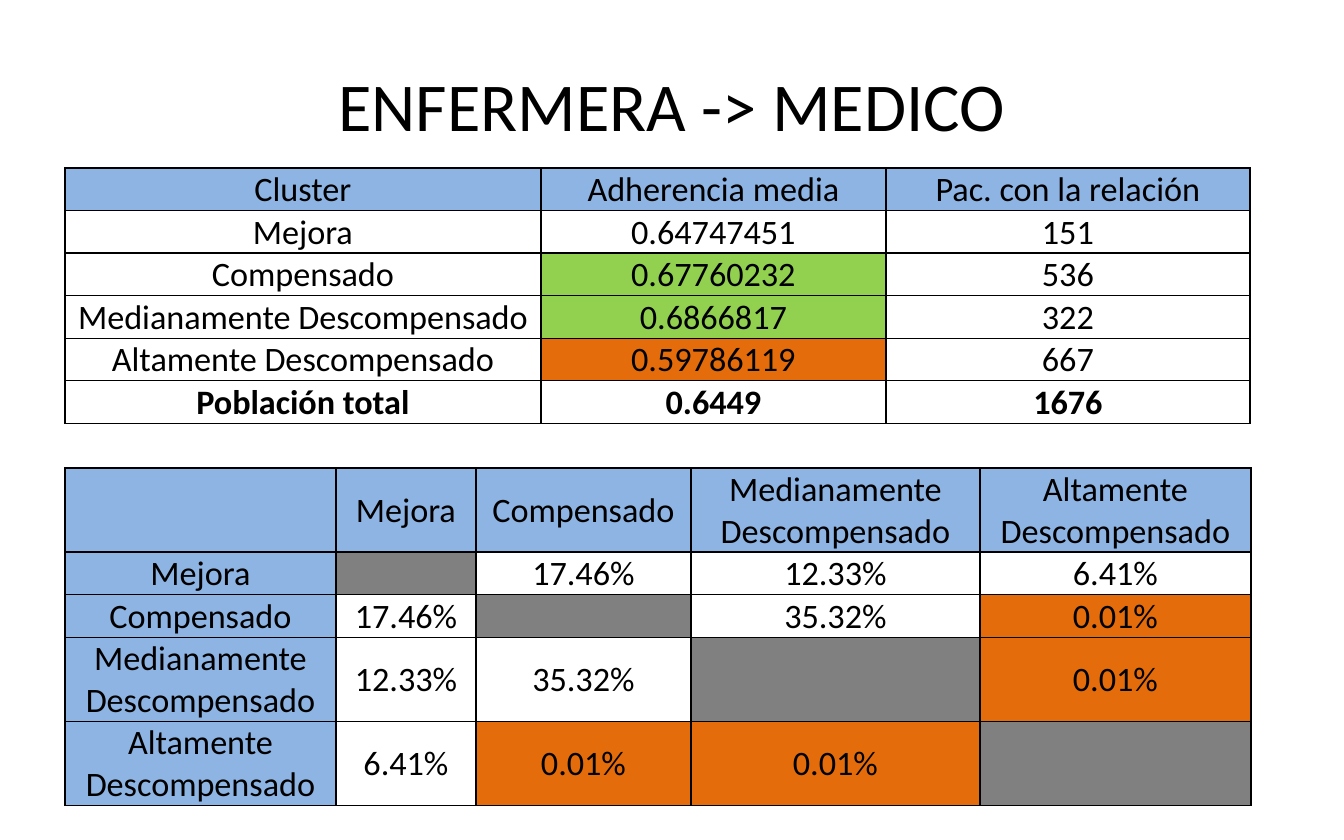
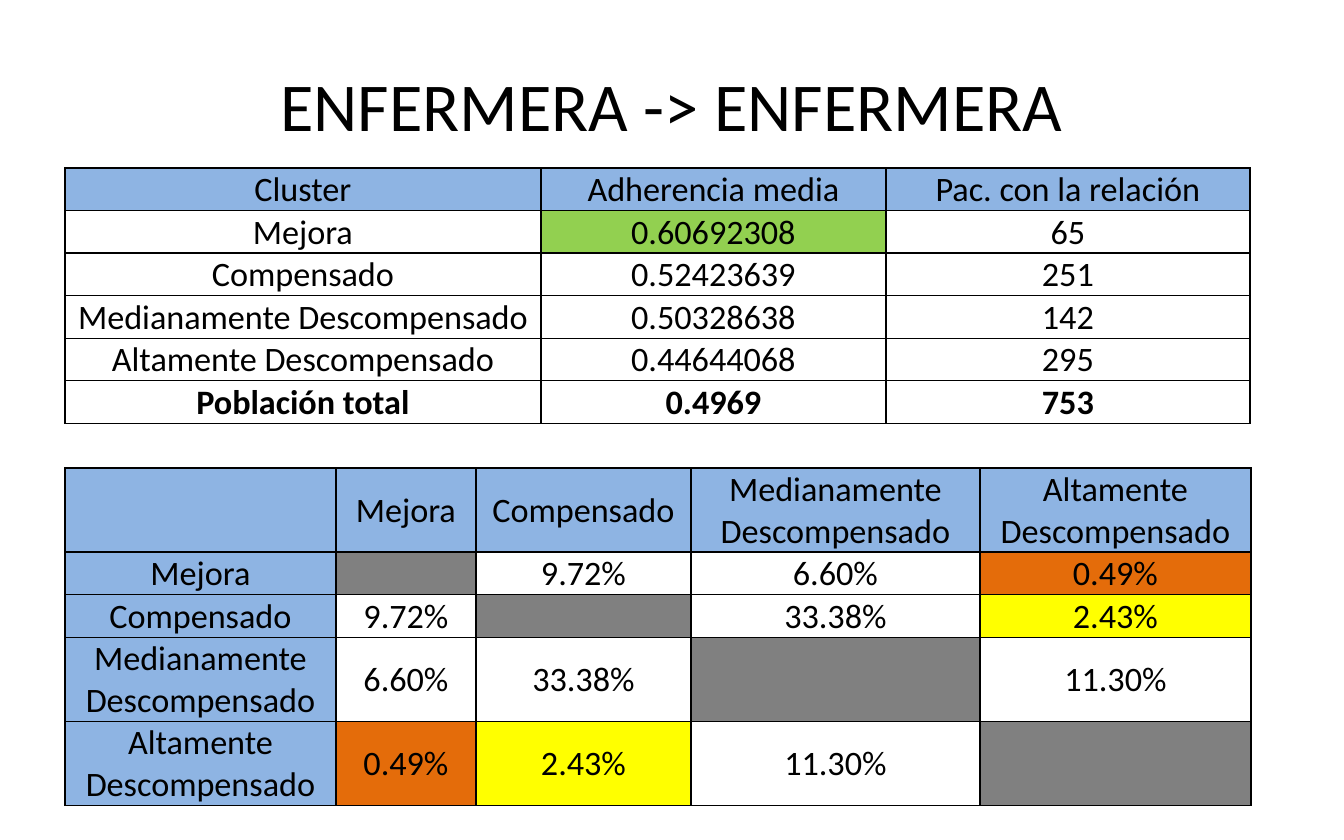
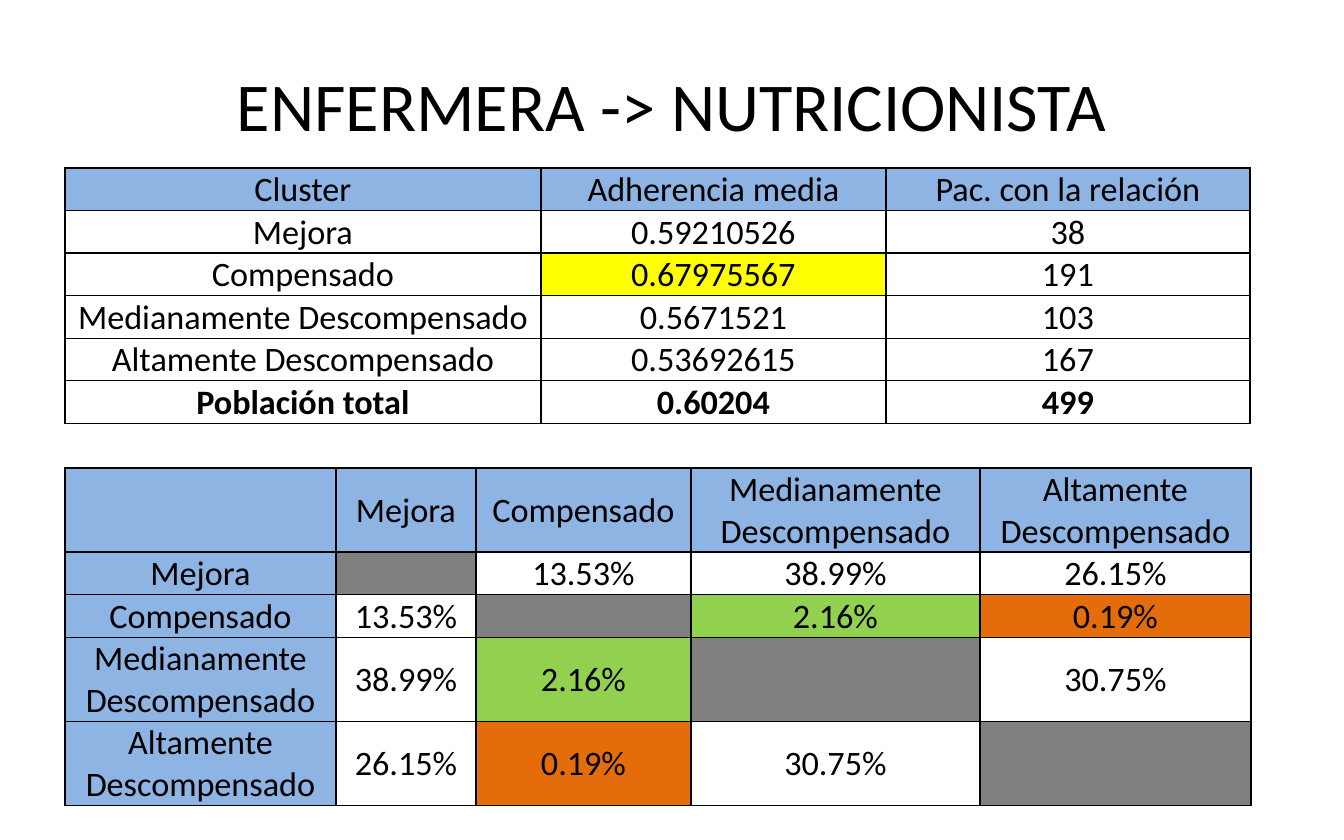
from itertools import combinations
from lxml.etree import SubElement
from pptx import Presentation
from pptx.dml.color import RGBColor
from pptx.enum.text import MSO_ANCHOR, PP_ALIGN
from pptx.oxml.ns import qn
from pptx.util import Inches, Pt

# Shared look
FONT = "Calibri"
BLACK, WHITE, BLUE, GRAY = "000000", "FFFFFF", "8EB4E3", "808080"
GREEN, ORANGE, YELLOW = "92D050", "E46C0A", "FFFF00"
LEFT = 0.58
LINE, PAIR = 0.38, 0.75  # heights of rows with one and two lines of text

# Shared headings
GROUPS = ["Mejora", "Compensado", "Medianamente Descompensado",
          "Altamente Descompensado"]
HEADS = ["Cluster", "Adherencia media", "Pac. con la relación"]
TOTAL = "Población total"

# means: adherence, patients, colour for each group
# pairs: upper half of the symmetric matrix, row by row
SLIDES = [
    dict(title="ENFERMERA -> MEDICO",
         means=[("0.64747451", "151", WHITE), ("0.67760232", "536", GREEN),
                ("0.6866817", "322", GREEN), ("0.59786119", "667", ORANGE)],
         total=("0.6449", "1676"),
         pairs=[("17.46%", None), ("12.33%", None), ("6.41%", None),
                ("35.32%", None), ("0.01%", ORANGE), ("0.01%", ORANGE)]),
    dict(title="ENFERMERA -> ENFERMERA",
         means=[("0.60692308", "65", GREEN), ("0.52423639", "251", WHITE),
                ("0.50328638", "142", WHITE), ("0.44644068", "295", WHITE)],
         total=("0.4969", "753"),
         pairs=[("9.72%", None), ("6.60%", None), ("0.49%", ORANGE),
                ("33.38%", None), ("2.43%", YELLOW), ("11.30%", None)]),
    dict(title="ENFERMERA -> NUTRICIONISTA",
         means=[("0.59210526", "38", WHITE), ("0.67975567", "191", YELLOW),
                ("0.5671521", "103", WHITE), ("0.53692615", "167", WHITE)],
         total=("0.60204", "499"),
         pairs=[("13.53%", None), ("38.99%", None), ("26.15%", None),
                ("2.16%", GREEN), ("0.19%", ORANGE), ("30.75%", None)]),
]


def color(code):
    return RGBColor.from_string(code)


def write(frame, text, size=22, bold=False, tone=BLACK):
    frame.word_wrap = True
    par = frame.paragraphs[0]
    par.alignment = PP_ALIGN.CENTER
    if text:
        run = par.add_run()
        run.text = text
        font = run.font
        font.name, font.size, font.bold = FONT, Pt(size), bold
        font.color.rgb = color(tone)


def border(cell):
    props = cell._tc.get_or_add_tcPr()
    for side in ("lnL", "lnR", "lnT", "lnB"):
        line = SubElement(props, qn("a:" + side), w=str(Pt(1)))
        fill = SubElement(line, qn("a:solidFill"))
        SubElement(fill, qn("a:srgbClr"), val=BLACK)


def grid(slide, top, cols, rows, cells):
    """Draw a table; each cell is (text, fill or None, bold)."""
    table = slide.shapes.add_table(
        len(rows), len(cols), Inches(LEFT), Inches(top),
        Inches(sum(cols)), Inches(sum(rows))).table
    table.first_row = table.horz_banding = False
    for col, width in zip(table.columns, cols):
        col.width = Inches(width)
    for row, height, line in zip(table.rows, rows, cells):
        row.height = Inches(height)
        for cell, (text, fill, bold) in zip(row.cells, line):
            cell.margin_left = cell.margin_right = Inches(0.01)
            cell.margin_top, cell.margin_bottom = Inches(0.01), 0
            cell.vertical_anchor = MSO_ANCHOR.MIDDLE
            write(cell.text_frame, text, bold=bold)
            border(cell)
            if fill:
                cell.fill.solid()
                cell.fill.fore_color.rgb = color(fill)
            else:
                cell.fill.background()


def matrix(pairs):
    """Mirror the pairs around a gray diagonal and add headings."""
    count = len(GROUPS)
    body = [[("", GRAY, False)] * count for _ in GROUPS]
    for (i, j), (text, fill) in zip(combinations(range(count), 2), pairs):
        body[i][j] = body[j][i] = (text, fill, False)
    heads = [(name, BLUE, False) for name in GROUPS]
    return ([[("", BLUE, False)] + heads]
            + [[head] + line for head, line in zip(heads, body)])


def summary(means, total):
    rows = [[(name, BLUE, False) for name in HEADS]]
    for name, (mean, count, fill) in zip(GROUPS, means):
        rows.append([(name, None, False), (mean, fill, False),
                     (count, None, False)])
    rows.append([(text, None, True) for text in (TOTAL, *total)])
    return rows


deck = Presentation()
deck.slide_width, deck.slide_height = Inches(12), Inches(7.5)
for item in SLIDES:
    slide = deck.slides.add_slide(deck.slide_layouts[6])
    # Title
    box = slide.shapes.add_textbox(Inches(0.6), Inches(0.3),
                                   Inches(10.8), Inches(1.25))
    box.text_frame.vertical_anchor = MSO_ANCHOR.MIDDLE
    write(box.text_frame, item["title"], size=44)
    # Comparison between groups
    grid(slide, 4.18, [2.42, 1.25, 1.92, 2.58, 2.42],
         [PAIR, LINE, LINE, PAIR, PAIR], matrix(item["pairs"]))
    # Mean adherence of each group
    grid(slide, 1.5, [4.25, 3.08, 3.25], [LINE] * 6,
         summary(item["means"], item["total"]))
deck.save("out.pptx")
